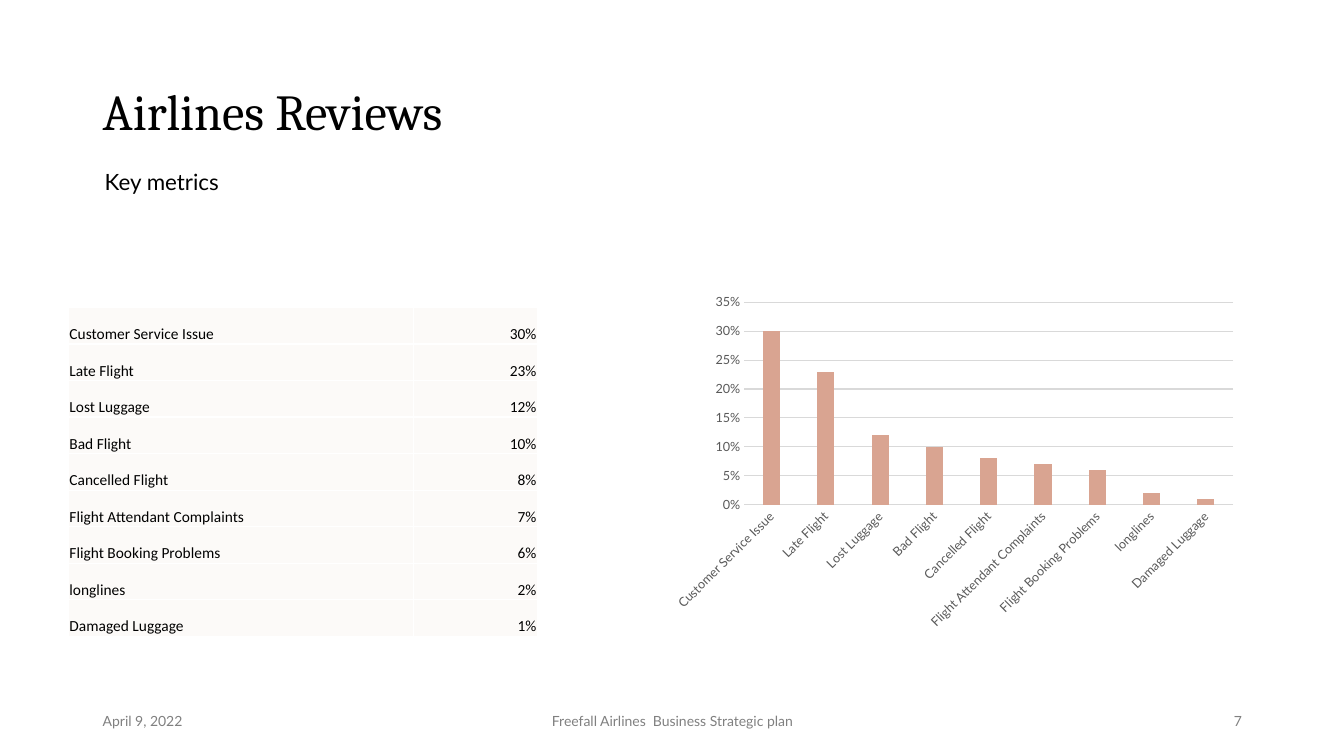
from dataclasses import dataclass

from lxml import etree
from pptx import Presentation
from pptx import util as u
from pptx.chart import data as cd
from pptx.dml.color import RGBColor
from pptx.enum import chart as ch, text as t
from pptx.oxml import ns


@dataclass(frozen=True)
class Theme:
    heading: str = "Cambria"
    body: str = "Lato"
    table: str = "Calibri"
    black: str = "000000"
    grey: str = "808080"
    axis: str = "595959"
    grid: str = "D9D9D9"
    bar: str = "D9A491"
    cell: str = "FCFAF8"
    border: str = "FFFFFF"
    title_pt: float = 36
    subtitle_pt: float = 16
    table_pt: float = 11
    chart_pt: float = 10
    footer_pt: float = 10
    axis_pt: float = 9


@dataclass(frozen=True)
class Label:
    text: str
    left: float
    top: float
    width: float
    height: float
    font: str
    size: float
    color: str
    align: t.PP_ALIGN = t.PP_ALIGN.LEFT
    spacing: float = 1.0


@dataclass(frozen=True)
class Review:
    issue: str
    share: float


THEME = Theme()
FOOTER_TOP, FOOTER_HEIGHT = 17.65, 1.02
FOOTER_FONT = (THEME.body, THEME.footer_pt, THEME.grey)

LABELS = [
    Label("Airlines Reviews", 2.34, 1.98, 29.21, 1.78,
          THEME.heading, THEME.title_pt, THEME.black, spacing=0.9),
    Label("Key metrics", 2.39, 3.86, 14.33, 1.52,
          THEME.body, THEME.subtitle_pt, THEME.black, spacing=0.9),
    Label("April 9, 2022", 2.34, FOOTER_TOP, 7.62, FOOTER_HEIGHT, *FOOTER_FONT),
    Label("Freefall Airlines  Business Strategic plan", 11.23, FOOTER_TOP, 11.43,
          FOOTER_HEIGHT, *FOOTER_FONT, align=t.PP_ALIGN.CENTER),
    Label("7", 23.93, FOOTER_TOP, 7.62, FOOTER_HEIGHT, *FOOTER_FONT,
          align=t.PP_ALIGN.RIGHT),
]

REVIEWS = [
    Review("Customer Service Issue", 0.30),
    Review("Late Flight", 0.23),
    Review("Lost Luggage", 0.12),
    Review("Bad Flight", 0.10),
    Review("Cancelled Flight", 0.08),
    Review("Flight Attendant Complaints", 0.07),
    Review("Flight Booking Problems", 0.06),
    Review("longlines", 0.02),
    Review("Damaged Luggage", 0.01),
]


def set_font(font, name: str, size: float, color: str) -> None:
    font.name = name
    font.size = u.Pt(size)
    font.color.rgb = RGBColor.from_string(color)


def set_line(line, color: str) -> None:
    line.color.rgb = RGBColor.from_string(color)
    line.width = u.Pt(0.75)


def add_label(s, label: Label) -> None:
    sp = s.shapes.add_textbox(*map(u.Cm, (label.left, label.top, label.width, label.height)))
    tf = sp.text_frame
    tf.word_wrap = True
    tf.vertical_anchor = t.MSO_ANCHOR.MIDDLE
    p = tf.paragraphs[0]
    p.text = label.text
    p.alignment = label.align
    p.line_spacing = label.spacing
    set_font(p.runs[0].font, label.font, label.size, label.color)


def add_borders(cell) -> None:
    """Draw all four edges; line elements must precede the cell fill."""
    tc_pr = cell._tc.get_or_add_tcPr()
    for i, edge in enumerate(("a:lnL", "a:lnR", "a:lnT", "a:lnB")):
        ln = etree.Element(ns.qn(edge), w=str(u.Pt(1)))
        fill = etree.SubElement(ln, ns.qn("a:solidFill"))
        etree.SubElement(fill, ns.qn("a:srgbClr"), val=THEME.border)
        tc_pr.insert(i, ln)


def fill_cell(cell, value: str, align: t.PP_ALIGN) -> None:
    cell.margin_left = cell.margin_right = cell.margin_top = u.Cm(0.02)
    cell.margin_bottom = 0
    cell.vertical_anchor = t.MSO_ANCHOR.BOTTOM
    cell.fill.solid()
    cell.fill.fore_color.rgb = RGBColor.from_string(THEME.cell)
    p = cell.text_frame.paragraphs[0]
    p.text = value
    p.alignment = align
    set_font(p.runs[0].font, THEME.table, THEME.table_pt, THEME.black)
    add_borders(cell)


def add_review_table(s, reviews: list[Review]) -> None:
    widths, row_height = (8.69, 3.12), 0.92
    table = s.shapes.add_table(
        len(reviews), len(widths), u.Cm(1.73), u.Cm(7.75),
        u.Cm(sum(widths)), u.Cm(row_height * len(reviews))).table
    table.first_row = table.horz_banding = False
    for column, width in zip(table.columns, widths):
        column.width = u.Cm(width)
    for i, review in enumerate(reviews):
        table.rows[i].height = u.Cm(row_height)
        fill_cell(table.cell(i, 0), review.issue, t.PP_ALIGN.LEFT)
        fill_cell(table.cell(i, 1), f"{review.share:.0%}", t.PP_ALIGN.RIGHT)


def add_review_chart(s, reviews: list[Review]) -> None:
    data = cd.CategoryChartData(number_format="0%")
    data.categories = [review.issue for review in reviews]
    data.add_series("Series 1", [review.share for review in reviews])
    chart = s.shapes.add_chart(
        ch.XL_CHART_TYPE.COLUMN_CLUSTERED,
        u.Cm(16.71), u.Cm(7.24), u.Cm(14.66), u.Cm(8.81), data).chart
    chart.has_title = chart.has_legend = False
    set_font(chart.font, THEME.body, THEME.chart_pt, THEME.black)

    plot = chart.plots[0]
    plot.vary_by_categories = False
    plot.gap_width, plot.overlap = 219, -27
    bars = plot.series[0].format.fill
    bars.solid()
    bars.fore_color.rgb = RGBColor.from_string(THEME.bar)

    cat, val = chart.category_axis, chart.value_axis
    for axis in (cat, val):
        axis.major_tick_mark = axis.minor_tick_mark = ch.XL_TICK_MARK.NONE
        set_font(axis.tick_labels.font, THEME.body, THEME.axis_pt, THEME.axis)
    set_line(cat.format.line, THEME.grid)
    cat._element.find(".//" + ns.qn("a:bodyPr")).set("rot", str(-45 * 60000))
    val.format.line.fill.background()
    set_line(val.major_gridlines.format.line, THEME.grid)
    val.minimum_scale, val.maximum_scale, val.major_unit = 0, 0.35, 0.05
    val.tick_labels.number_format = "0%"
    val.tick_labels.number_format_is_linked = False


def main() -> None:
    prs = Presentation()
    prs.slide_width, prs.slide_height = u.Cm(33.87), u.Cm(19.05)
    s = prs.slides.add_slide(prs.slide_layouts[6])
    for label in LABELS:
        add_label(s, label)
    add_review_table(s, REVIEWS)
    add_review_chart(s, REVIEWS)
    prs.save("out.pptx")


if __name__ == "__main__":
    main()
